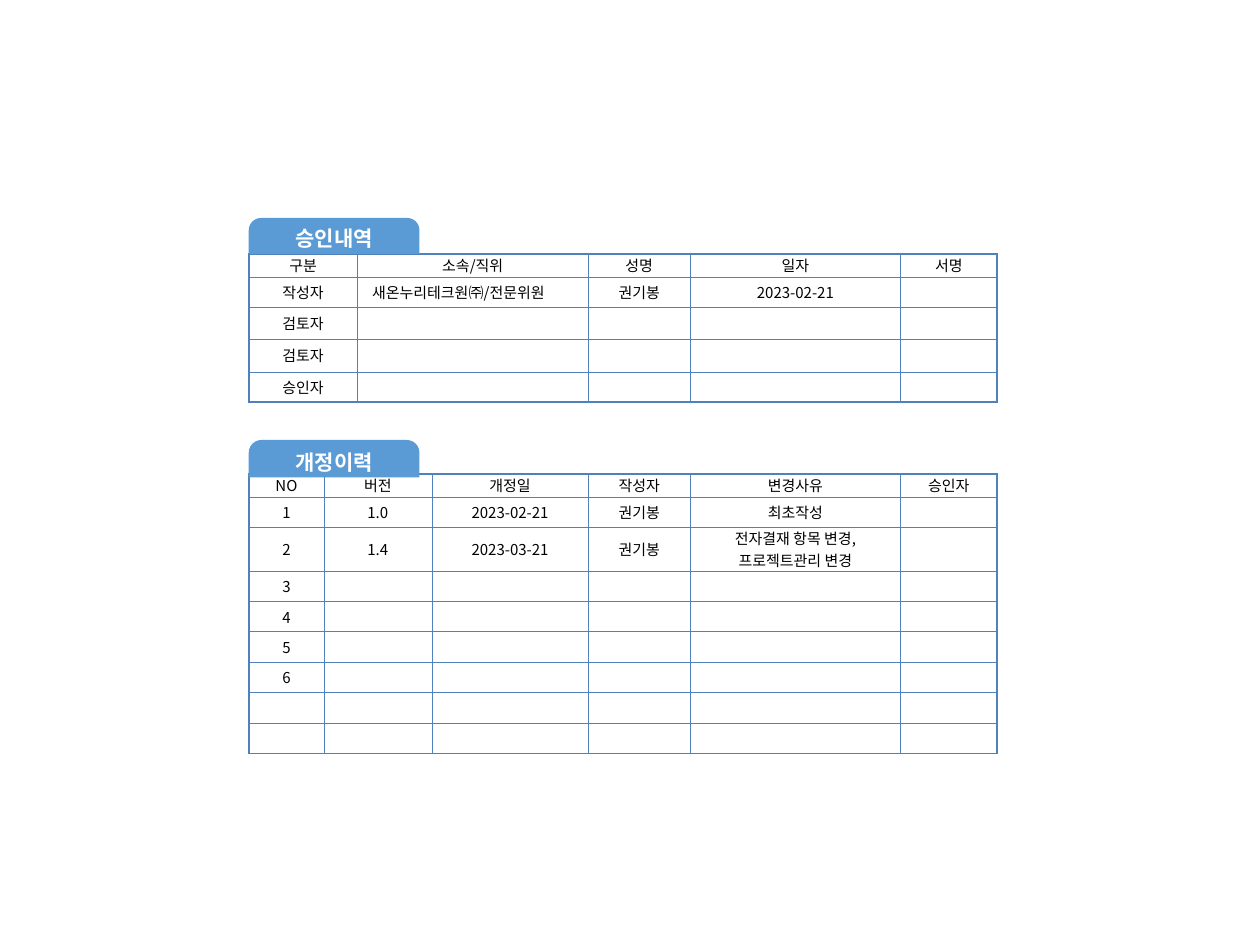
"""Build the approval and revision history slide."""
from lxml.etree import SubElement
from pptx import Presentation
from pptx.dml.color import RGBColor
from pptx.enum.shapes import MSO_SHAPE as Shape
from pptx.enum.text import MSO_ANCHOR as Anchor, PP_ALIGN as Align
from pptx.oxml import parse_xml
from pptx.oxml.ns import nsdecls, qn
from pptx.util import Pt

COLORS = {"border": "4F81BD", "tab": "5B9BD5", "white": "FFFFFF", "black": "000000"}
FONT = "Noto Sans CJK KR"
NO_STYLE = "{2D5ABB26-0587-4C30-8999-92F81FD0307C}"
THIN, THICK = 0.5, 1.5


def color(name):
    return RGBColor.from_string(COLORS[name])


def set_borders(cell, widths):
    properties = cell._tc.get_or_add_tcPr()
    for place, (side, width) in enumerate(zip("LRTB", widths)):
        properties.insert(place, parse_xml(
            f'<a:ln{side} {nsdecls("a")} w="{Pt(width)}"><a:solidFill>'
            f'<a:srgbClr val="{COLORS["border"]}"/></a:solidFill></a:ln{side}>'))


deck = Presentation()
deck.slide_width, deck.slide_height = Pt(1008), Pt(756)
page = deck.slides.add_slide(deck.slide_layouts[6])

column_widths = [76.3, 59.8, 26.6, 59.8, 125.3, 81.4, 20.9, 85.7, 61.9, 77]
row_heights = [64, 22.6, 18.4, 24, 25.6, 26.4, 24, 34.6, 23, 18.4, 24, 35.2] + [24.4] * 6 + [18]

frame = page.shapes.add_table(len(row_heights), len(column_widths), Pt(123), Pt(116.6),
                              Pt(sum(column_widths)), Pt(sum(row_heights)))
table = frame.table
table.first_row = table.horz_banding = False
frame._element.xpath(".//a:tableStyleId")[0].text = NO_STYLE
for column, width in zip(table.columns, column_widths):
    column.width = Pt(width)
for row, height in zip(table.rows, row_heights):
    row.height = Pt(height)

for cell in table.iter_cells():
    cell.margin_left = cell.margin_right = cell.margin_top = cell.margin_bottom = 0
    cell.vertical_anchor = Anchor.MIDDLE
    cell.fill.solid()
    cell.fill.fore_color.rgb = color("white")
    cell.text_frame.paragraphs[0]._p.get_or_add_endParaRPr().set("sz", "1000")

approval = [
    ["구분", "소속/직위", "성명", "일자", "서명"],
    ["작성자", "새온누리테크원㈜/전문위원", "권기봉", "2023-02-21", ""],
    ["검토자", "", "", "", ""],
    ["검토자", "", "", "", ""],
    ["승인자", "", "", "", ""],
]
revisions = [
    ["NO", "버전", "개정일", "작성자", "변경사유", "승인자"],
    ["1", "1.0", "2023-02-21", "권기봉", "최초작성", ""],
    ["2", "1.4", "2023-03-21", "권기봉", "전자결재 항목 변경,\v프로젝트관리 변경", ""],
] + [[number, "", "", "", "", ""] for number in ("3", "4", "5", "6", "", "")]
sections = [
    (2, [(1, 2), (3, 4), (5, 5), (6, 8), (9, 9)], approval),
    (9, [(1, 1), (2, 3), (4, 4), (5, 5), (6, 8), (9, 9)], revisions),
]

for top, spans, lines in sections:
    bottom = top + len(lines) - 1
    for row, texts in enumerate(lines, top):
        for (first, last), text in zip(spans, texts):
            cell = table.cell(row, first)
            if last > first:
                cell.merge(table.cell(row, last))
            edges = (first == 1, last == 9, row == top, row == bottom)
            set_borders(cell, [THICK if edge else THIN for edge in edges])
            if not text:
                continue
            cell.text_frame.text = text
            para = cell.text_frame.paragraphs[0]
            para.alignment = Align.CENTER
            for span in para.runs:
                span.font.size, span.font.name = Pt(12), FONT
                span.font.color.rgb = color("black")
                SubElement(span.font._element, qn("a:ea")).set("typeface", FONT)

company = table.cell(3, 3)
company.margin_left = Pt(12)
company.text_frame.paragraphs[0].alignment = Align.LEFT

for title, top, height in [("승인내역", 174.4, 28.8), ("개정이력", 352, 30)]:
    tab = page.shapes.add_shape(Shape.ROUND_2_SAME_RECTANGLE, Pt(199), Pt(top), Pt(136.6), Pt(height))
    tab.adjustments[0], tab.adjustments[1] = 0.34, 0
    tab.shadow.inherit = False
    tab.fill.solid()
    tab.fill.fore_color.rgb = color("tab")
    tab.line.fill.background()
    box = tab.text_frame
    box.margin_left = box.margin_right = Pt(4.3)
    box.margin_top, box.margin_bottom = 0, Pt(2.2)
    box.vertical_anchor = Anchor.BOTTOM
    box.text = title
    para = box.paragraphs[0]
    para.alignment = Align.CENTER
    font = para.runs[0].font
    font.size, font.name, font.bold = Pt(16.8), "Calibri", True
    font.color.rgb = color("white")

deck.save("out.pptx")
